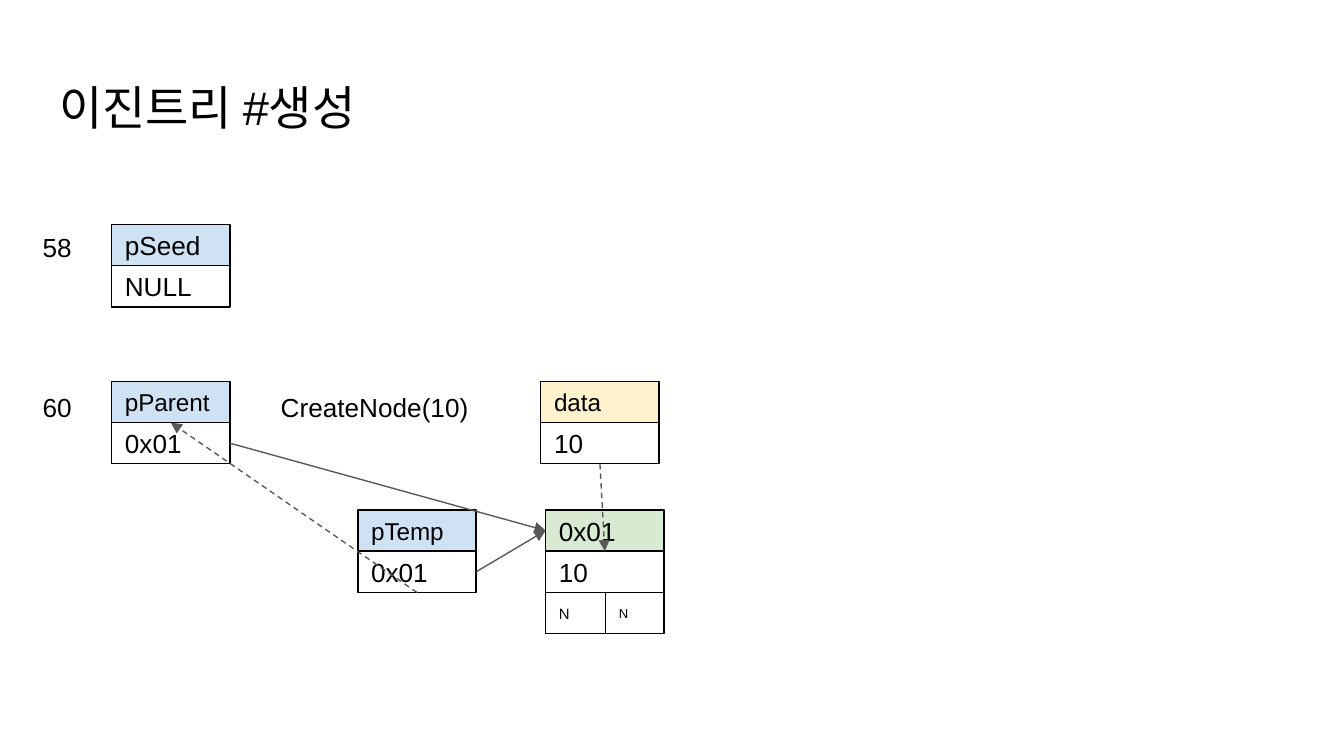
from lxml.etree import SubElement
from pptx import Presentation
from pptx.dml.color import RGBColor
from pptx.enum.dml import MSO_LINE
from pptx.enum.shapes import MSO_CONNECTOR, MSO_SHAPE
from pptx.enum.text import MSO_ANCHOR, MSO_AUTO_SIZE, PP_ALIGN
from pptx.oxml.ns import qn
from pptx.util import Pt

BLACK = RGBColor(0x00, 0x00, 0x00)
WHITE = RGBColor(0xFF, 0xFF, 0xFF)
GRAY = RGBColor(0x59, 0x59, 0x59)
BLUE = RGBColor(0xCF, 0xE2, 0xF3)
YELLOW = RGBColor(0xFF, 0xF2, 0xCC)
GREEN = RGBColor(0xD9, 0xEA, 0xD3)

TOP, LEFT, BOTTOM, RIGHT = range(4)


class TreeSlide:
    font_name = "Arial"
    inset = 7.2
    line_width = 0.75
    cell_width = 63.4
    cell_height = 22.1

    def __init__(self, presentation):
        self.slide = presentation.slides.add_slide(presentation.slide_layouts[5])
        self.shapes = self.slide.shapes

    def add_text(self, shape, text, size, anchor=MSO_ANCHOR.TOP):
        frame = shape.text_frame
        frame.word_wrap = True
        frame.auto_size = MSO_AUTO_SIZE.NONE
        frame.vertical_anchor = anchor
        frame.margin_left = frame.margin_right = Pt(self.inset)
        frame.margin_top = frame.margin_bottom = Pt(self.inset)
        paragraph = frame.paragraphs[0]
        paragraph.alignment = PP_ALIGN.LEFT
        run = paragraph.add_run()
        run.text = text
        run.font.name = self.font_name
        run.font.size = Pt(size)
        run.font.color.rgb = BLACK

    def title(self, text, left, top, width, height, size):
        shape = self.shapes.title
        shape.left, shape.top = Pt(left), Pt(top)
        shape.width, shape.height = Pt(width), Pt(height)
        self.add_text(shape, text, size)

    def label(self, text, left, top, width):
        shape = self.shapes.add_textbox(Pt(left), Pt(top), Pt(width), Pt(31.6))
        self.add_text(shape, text, 14)

    def cell(self, group, text, left, top, width, size, fill):
        shape = group.shapes.add_shape(
            MSO_SHAPE.RECTANGLE, Pt(left), Pt(top), Pt(width), Pt(self.cell_height))
        shape.shadow.inherit = False
        shape.fill.solid()
        shape.fill.fore_color.rgb = fill
        shape.line.color.rgb = BLACK
        shape.line.width = Pt(self.line_width)
        self.add_text(shape, text, size, MSO_ANCHOR.MIDDLE)
        return shape

    def node(self, name, value, left, top, fill, name_size=13, children=()):
        """Stack a name cell, a value cell and an optional row of child cells."""
        group = self.shapes.add_group_shape()
        name_cell = self.cell(group, name, left, top, self.cell_width, name_size, fill)
        value_cell = self.cell(group, value, left, top + self.cell_height,
                               self.cell_width, 14, WHITE)
        for text, width, size in children:
            self.cell(group, text, left, top + 2 * self.cell_height, width, size, WHITE)
            left += width
        return name_cell, value_cell

    def arrow(self, start, start_side, end, end_side, dashed=False):
        connector = self.shapes.add_connector(MSO_CONNECTOR.STRAIGHT, 0, 0, 0, 0)
        connector.begin_connect(start, start_side)
        connector.end_connect(end, end_side)
        connector.line.color.rgb = GRAY
        connector.line.width = Pt(self.line_width)
        if dashed:
            connector.line.dash_style = MSO_LINE.DASH
        properties = connector.element.spPr
        SubElement(properties.find(qn("a:ln")), qn("a:tailEnd"), type="triangle")
        SubElement(properties, qn("a:effectLst"))


def main():
    presentation = Presentation()
    presentation.slide_width, presentation.slide_height = Pt(720), Pt(405)
    page = TreeSlide(presentation)
    page.title("이진트리 #생성", 24.5, 35, 671, 45.1, 25.2)

    # Pointers, argument and the new tree node
    page.node("pSeed", "NULL", 59.8, 120.3, BLUE, name_size=14)
    _, parent_value = page.node("pParent", "0x01", 59.8, 204.3, BLUE)
    page.label("CreateNode(10)", 143.3, 202.5, 126)
    _, data_value = page.node("data", "10", 289.7, 204.3, YELLOW)
    _, temp_value = page.node("pTemp", "0x01", 191.7, 273.2, BLUE)
    node_address, node_value = page.node(
        "0x01", "10", 292.3, 273.2, GREEN, name_size=14,
        children=[("N", 32.2, 8), ("N", 31.2, 7)])

    # Copies are dashed, references are solid
    page.arrow(data_value, BOTTOM, node_value, TOP, dashed=True)
    page.arrow(temp_value, RIGHT, node_address, LEFT)
    page.arrow(temp_value, BOTTOM, parent_value, TOP, dashed=True)
    page.arrow(parent_value, RIGHT, node_address, LEFT)

    # Line numbers
    for number, top in (("58", 116.6), ("60", 202.5)):
        page.label(number, 15.8, top, 37.4)

    presentation.save("out.pptx")


if __name__ == "__main__":
    main()
